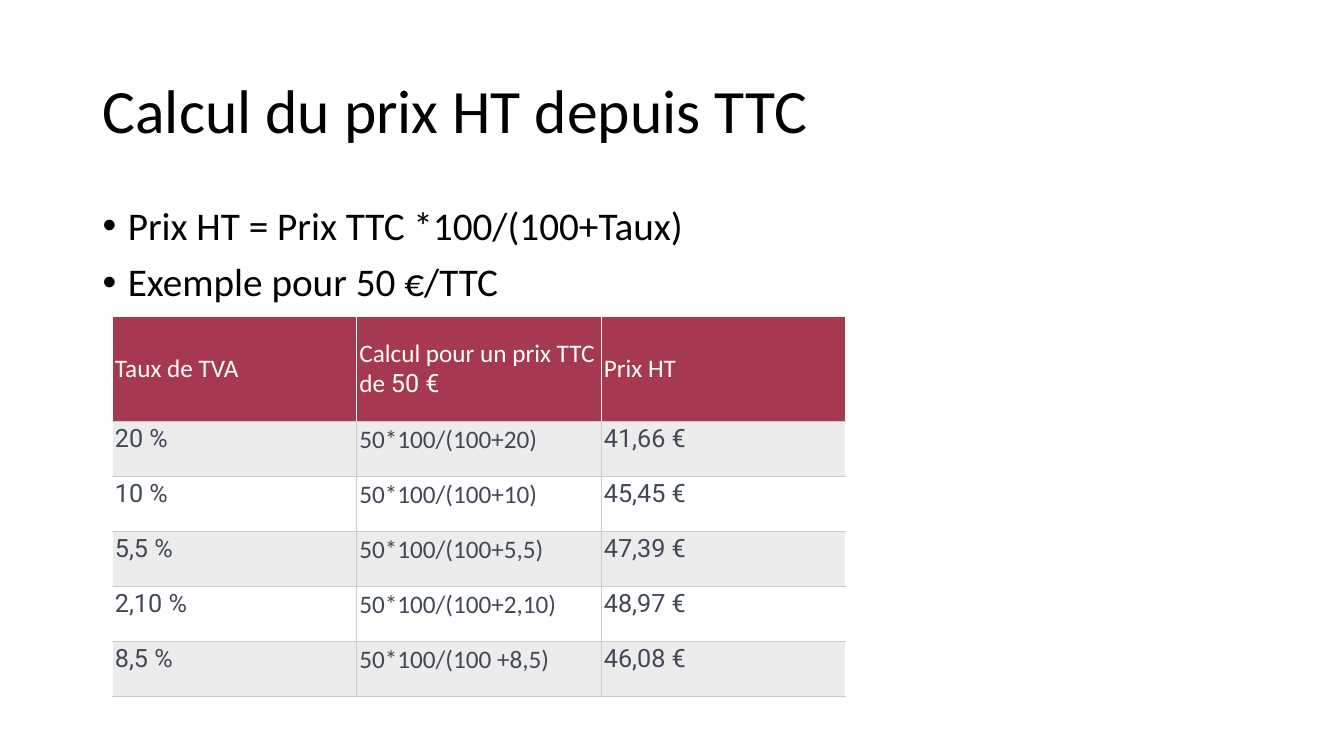
from lxml import etree
from pptx import Presentation
from pptx.dml.color import RGBColor
from pptx.enum import text
from pptx.oxml import ns
from pptx.util import Inches, Pt

# Content
TITLE = "Calcul du prix HT depuis TTC"
POINTS = ["Prix HT = Prix TTC *100/(100+Taux)", "Exemple pour 50 €/TTC"]
# Each cell is a list of (words, font) runs
HEADER = [
    [("Taux de TVA", "Calibri")],
    [("Calcul pour un prix TTC de ", "Calibri"), ("50 €", "Roboto")],
    [("Prix HT", "Calibri")],
]
RATES = [
    ("20 %", "50*100/(100+20)", "41,66 €"),
    ("10 %", "50*100/(100+10)", "45,45 €"),
    ("5,5 %", "50*100/(100+5,5)", "47,39 €"),
    ("2,10 %", "50*100/(100+2,10)", "48,97 €"),
    ("8,5 %", "50*100/(100 +8,5)", "46,08 €"),
]
RATE_FONTS = ("Roboto", "Calibri", "Roboto")

BLACK, WHITE, RED = "000000", "FFFFFF", "A63950"
SLATE, BAND, RULE = "414856", "ECECEC", "CCCCCC"

# Layout in inches
TABLE_LEFT, TABLE_TOP = 1.11, 3.14
COLUMN_WIDTH, HEADER_HEIGHT, RATE_HEIGHT = 2.425, 1.04, 0.545
CELL_INSET = 0.03


def colour(code):
    return RGBColor.from_string(code)


def style_font(font, size, name, code):
    font.size, font.name, font.bold = Pt(size), name, False
    font.color.rgb = colour(code)


def add_lines(slide, lines, place, size, anchor):
    frame = slide.shapes.add_textbox(*map(Inches, place)).text_frame
    frame.word_wrap = True
    frame.vertical_anchor = anchor
    frame.text = "\n".join(lines)
    for paragraph in frame.paragraphs:
        paragraph.line_spacing = 0.9
        style_font(paragraph.font, size, "Calibri", BLACK)
    return frame.paragraphs


def add_bullet(paragraph):
    paragraph.space_before = Pt(10)
    props = paragraph._p.get_or_add_pPr()
    props.set("marL", str(Inches(0.25)))
    props.set("indent", str(-Inches(0.25)))
    bullet_font = etree.Element(ns.qn("a:buFont"), typeface="Arial")
    bullet = etree.Element(ns.qn("a:buChar"), char="•")
    following = props.find(ns.qn("a:defRPr"))
    following.addprevious(bullet_font)
    following.addprevious(bullet)


def set_borders(cell, left, right, top, bottom):
    props = cell._tc.get_or_add_tcPr()
    sides = zip(("lnL", "lnR", "lnT", "lnB"), (left, right, top, bottom))
    for place, (side, code) in enumerate(sides):
        line = etree.Element(ns.qn("a:" + side), w=str(Pt(0.3)))
        fill = etree.SubElement(line, ns.qn("a:solidFill"))
        etree.SubElement(fill, ns.qn("a:srgbClr"), val=code)
        props.insert(place, line)


def fill_cell(cell, runs, ink, background):
    cell.margin_left = cell.margin_right = Inches(CELL_INSET)
    cell.margin_top = cell.margin_bottom = Inches(CELL_INSET)
    cell.fill.solid()
    cell.fill.fore_color.rgb = colour(background)
    paragraph = cell.text_frame.paragraphs[0]
    for words, font_name in runs:
        run = paragraph.add_run()
        run.text = words
        style_font(run.font, 18, font_name, ink)


def add_rates(slide):
    rows = [HEADER] + [[[run] for run in zip(rate, RATE_FONTS)] for rate in RATES]
    last = len(HEADER) - 1
    table = slide.shapes.add_table(
        len(rows), len(HEADER), Inches(TABLE_LEFT), Inches(TABLE_TOP),
        Inches(COLUMN_WIDTH * len(HEADER)),
        Inches(HEADER_HEIGHT + RATE_HEIGHT * len(RATES))).table
    table.first_row = table.horz_banding = False
    for column in table.columns:
        column.width = Inches(COLUMN_WIDTH)

    for r, row in enumerate(rows):
        is_header = r == 0
        table.rows[r].height = Inches(HEADER_HEIGHT if is_header else RATE_HEIGHT)
        ink = WHITE if is_header else SLATE
        background = RED if is_header else (BAND if r % 2 else WHITE)
        inner = WHITE if is_header else RULE
        for c, runs in enumerate(row):
            cell = table.cell(r, c)
            fill_cell(cell, runs, ink, background)
            if is_header:
                cell.vertical_anchor = text.MSO_ANCHOR.MIDDLE
            set_borders(cell, inner if c else WHITE, inner if c < last else WHITE,
                        WHITE if is_header else RULE, RULE)


def main():
    deck = Presentation()
    deck.slide_width, deck.slide_height = Inches(13.33), Inches(7.5)
    slide = deck.slides.add_slide(deck.slide_layouts[6])

    # Title and formula
    add_lines(slide, [TITLE], (0.92, 0.4, 11.5, 1.45), 44, text.MSO_ANCHOR.MIDDLE)
    for point in add_lines(slide, POINTS, (0.92, 2, 11.5, 4.76), 28,
                           text.MSO_ANCHOR.TOP):
        add_bullet(point)

    # Worked example for each rate
    add_rates(slide)
    deck.save("out.pptx")


if __name__ == "__main__":
    main()
